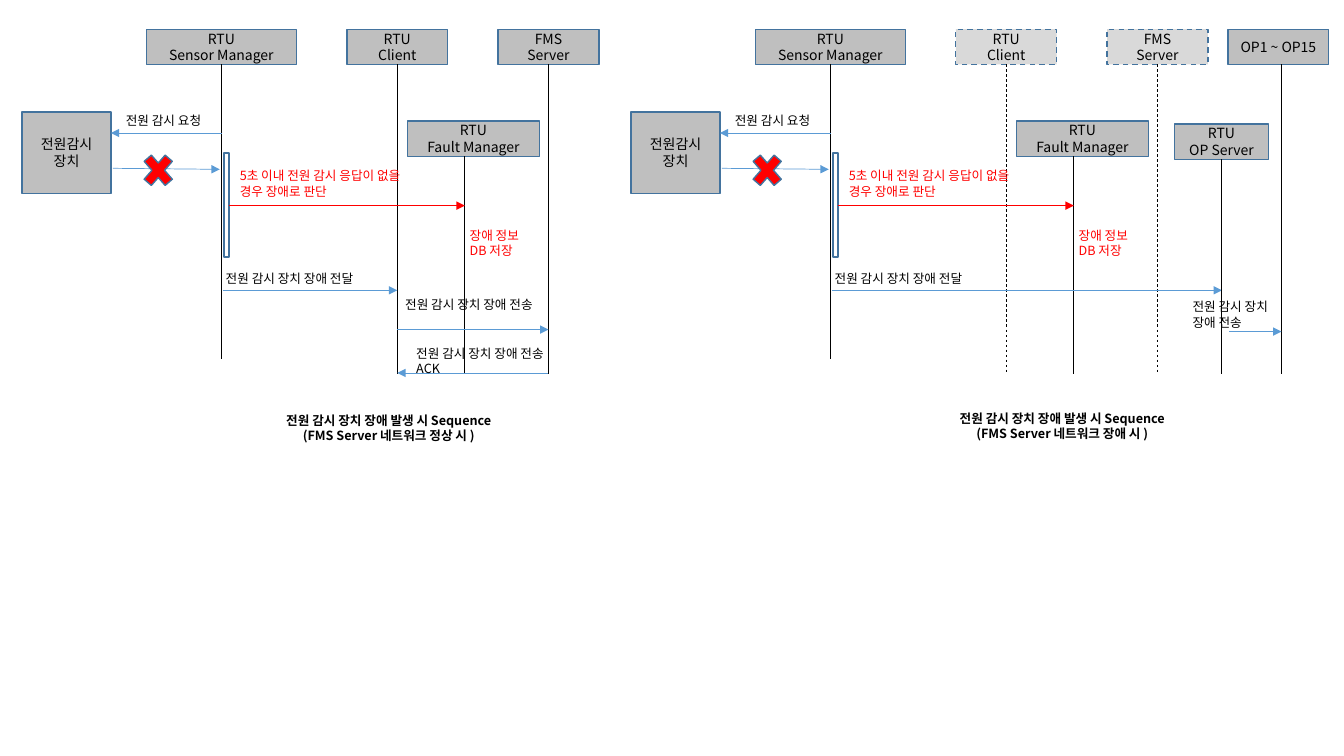
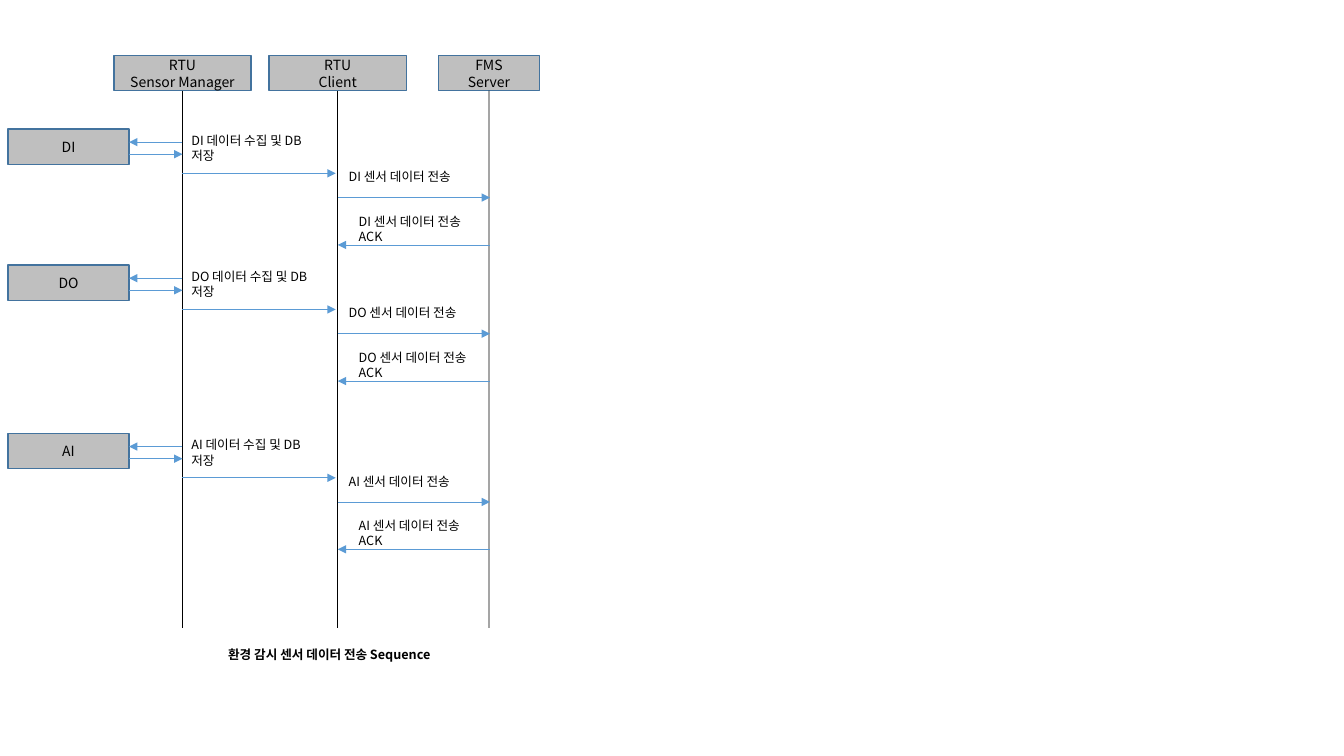
from lxml import etree
from pptx import Presentation
from pptx import util as u
from pptx.dml import color
from pptx.enum import dml, shapes, text
from pptx.oxml import ns

FONT = "Noto Sans CJK KR"
BLACK, RED, BLUE = "000000", "FF0000", "5B9BD5"
OUTLINE, GREY, PALE = "43739E", "BFBFBF", "D9D9D9"
HEADER_HEIGHT = 0.35
LABEL_HEIGHTS = {1: 0.25, 2: 0.4}


def rgb(value):
    return color.RGBColor.from_string(value)


def write(shape, lines, frame_format, font_format, ink=BLACK, align=text.PP_ALIGN.LEFT):
    frame = shape.text_frame
    for name, value in {"word_wrap": True, **frame_format}.items():
        setattr(frame, name, value)
    for index, line in enumerate(lines):
        para = frame.add_paragraph() if index else frame.paragraphs[0]
        para.alignment = align
        span = para.add_run()
        span.text = line
        for name, value in {"name": FONT, **font_format}.items():
            setattr(span.font, name, value)
        span.font.color.rgb = rgb(ink)
        east_asian = etree.SubElement(span.font._element, ns.qn("a:ea"))
        east_asian.set("typeface", FONT)


def add_outlined(page, kind, left, top, width, height, fill=None, dashed=False):
    shape = page.shapes.add_shape(kind, *map(u.Inches, (left, top, width, height)))
    shape.shadow.inherit = False
    if fill:
        shape.fill.solid()
        shape.fill.fore_color.rgb = rgb(fill)
    else:
        shape.fill.background()
    shape.line.color.rgb = rgb(OUTLINE)
    shape.line.width = u.Pt(1)
    if dashed:
        shape.line.dash_style = dml.MSO_LINE.DASH
    return shape


def add_box(page, left, top, width, lines, height=HEADER_HEIGHT, active=True):
    box = add_outlined(page, shapes.MSO_SHAPE.RECTANGLE, left, top, width, height,
                       GREY if active else PALE, not active)
    write(box, lines, {"vertical_anchor": text.MSO_ANCHOR.MIDDLE}, {"size": u.Pt(10)},
          align=text.PP_ALIGN.CENTER)
    return box


def add_label(page, left, top, width, lines, rows=1, ink=BLACK, bold=False,
              align=text.PP_ALIGN.LEFT):
    label = page.shapes.add_textbox(
        *map(u.Inches, (left, top, width, LABEL_HEIGHTS[rows])))
    write(label, lines, {"auto_size": text.MSO_AUTO_SIZE.SHAPE_TO_FIT_TEXT},
          {"size": u.Pt(9), "bold": bold}, ink, align)


def add_caption(page, left, top, lines):
    add_label(page, left, top, 2.65, lines, len(lines), bold=True,
              align=text.PP_ALIGN.CENTER)


def add_line(page, start, end, ink=BLACK, dashed=False):
    line = page.shapes.add_connector(
        shapes.MSO_CONNECTOR.STRAIGHT, *map(u.Inches, (*start, *end)))
    line.line.color.rgb = rgb(ink)
    line.line.width = u.Pt(0.5)
    if dashed:
        line.line.dash_style = dml.MSO_LINE.DASH
    etree.SubElement(line._element.spPr, ns.qn("a:effectLst"))
    return line


def add_arrow(page, start, end, ink=BLUE):
    arrow = add_line(page, start, end, ink)
    tail = etree.SubElement(arrow.line._get_or_add_ln(), ns.qn("a:tailEnd"))
    tail.set("type", "triangle")


def add_participant(page, left, top, width, lines, bottom, active=True, life=None):
    box = add_box(page, left, top, width, lines, active=active)
    center = life or left + width / 2
    line = add_line(page, (center, top + HEADER_HEIGHT), (center, bottom),
                    dashed=not active)
    if life is None:
        line.begin_connect(box, 2)


def draw_fault_panel(page, left, server_online):
    def at(x, y):
        return left + x, y

    add_participant(page, *at(1.45, 0.29), 1.49, ["RTU", "Sensor Manager"], 3.56)
    for x, lines in ((3.44, ["RTU", "Client"]), (4.94, ["FMS", "Server"])):
        add_participant(page, *at(x, 0.29), 1, lines, 3.71, server_online)
    add_participant(page, *at(4.04, 1.2), 1.31, ["RTU", "Fault Manager"], 3.71,
                    life=left + 4.61)
    add_box(page, *at(0.22, 1.11), 0.88, ["전원감시", "장치"], height=0.81)

    add_arrow(page, at(2.2, 1.32), at(1.1, 1.32))
    add_label(page, *at(1.15, 1.07), 1.24, ["전원 감시 요청"])
    add_arrow(page, at(1.12, 1.67), at(2.18, 1.68))
    add_outlined(page, shapes.MSO_SHAPE.MATH_MULTIPLY, *at(1.37, 1.46), 0.4, 0.46, RED)
    add_outlined(page, shapes.MSO_SHAPE.RECTANGLE, *at(2.22, 1.52), 0.05, 1.03)

    add_label(page, *at(2.28, 1.62), 1.79,
              ["5초 이내 전원 감시 응답이 없을 경우 장애로 판단"], 2, RED)
    add_arrow(page, at(2.27, 2.04), at(4.61, 2.04), RED)
    add_label(page, *at(4.56, 2.21), 0.78, ["장애 정보", "DB 저장"], 2, RED)
    add_label(page, *at(2.14, 2.64), 1.71, ["전원 감시 장치 장애 전달"])
    add_arrow(page, at(2.21, 2.88), at(3.94 if server_online else 6.08, 2.88))


def draw_server_delivery(page, client, server):
    add_arrow(page, (client, 3.27), (server, 3.27))
    add_label(page, client - 0.02, 2.9, 1.55, ["전원 감시 장치 장애 전송"])
    add_arrow(page, (server, 3.7), (client, 3.7))
    add_label(page, client + 0.09, 3.38, 1.55, ["전원 감시 장치 장애 전송 ACK"], 2)


def draw_operator_delivery(page, left):
    add_participant(page, left + 0.53, 0.29, 1, ["OP1 ~ OP15"], 3.71, life=left + 1.06)
    add_participant(page, left, 1.23, 0.93, ["RTU", "OP Server"], 3.71)
    add_arrow(page, (left + 0.54, 3.29), (left + 1.06, 3.29))
    add_label(page, left + 0.08, 2.92, 1.2, ["전원 감시 장치 장애 전송"], 2)


def draw_sensor_round(page, top, signal, manager=1.81, client=3.35, server=4.86):
    add_box(page, 0.08, top, 1.2, [signal])
    for start, end, drop in (
        (manager, 1.28, 0.13),
        (1.28, manager, 0.25),
        (manager, client - 0.02, 0.44),
        (client, server, 0.68),
        (server, client, 1.15),
    ):
        add_arrow(page, (start, top + drop), (end, top + drop))
    for left, drop, message, rows in (
        (manager - 0.01, -0.01, "데이터 수집 및 DB 저장", 2),
        (client + 0.01, 0.35, "센서 데이터 전송", 1),
        (client + 0.11, 0.79, "센서 데이터 전송 ACK", 2),
    ):
        add_label(page, left, top + drop, 1.46, [f"{signal} {message}"], rows)


def draw_fault_slide(page):
    title = "전원 감시 장치 장애 발생 시 Sequence"
    draw_fault_panel(page, 0, True)
    draw_server_delivery(page, 3.94, 5.44)
    add_caption(page, 2.53, 4.05, [title, "(FMS Server 네트워크 정상 시 )"])
    draw_fault_panel(page, 6.04, False)
    draw_operator_delivery(page, 11.65)
    add_caption(page, 9.21, 4.03, [title, "(FMS Server 네트워크 장애 시 )"])


def draw_sensor_slide(page):
    for left, width, lines in (
        (1.13, 1.36, ["RTU", "Sensor Manager"]),
        (2.67, 1.36, ["RTU", "Client"]),
        (4.35, 1, ["FMS", "Server"]),
    ):
        add_participant(page, left, 0.55, width, lines, 6.23)
    for top, signal in ((1.28, "DI"), (2.63, "DO"), (4.3, "AI")):
        draw_sensor_round(page, top, signal)
    add_caption(page, 1.94, 6.37, ["환경 감시 센서 데이터 전송 Sequence"])


def main():
    deck = Presentation()
    deck.slide_width, deck.slide_height = u.Inches(13.33), u.Inches(7.5)
    for draw in (draw_fault_slide, draw_sensor_slide):
        draw(deck.slides.add_slide(deck.slide_layouts[6]))
    deck.save("out.pptx")


if __name__ == "__main__":
    main()
